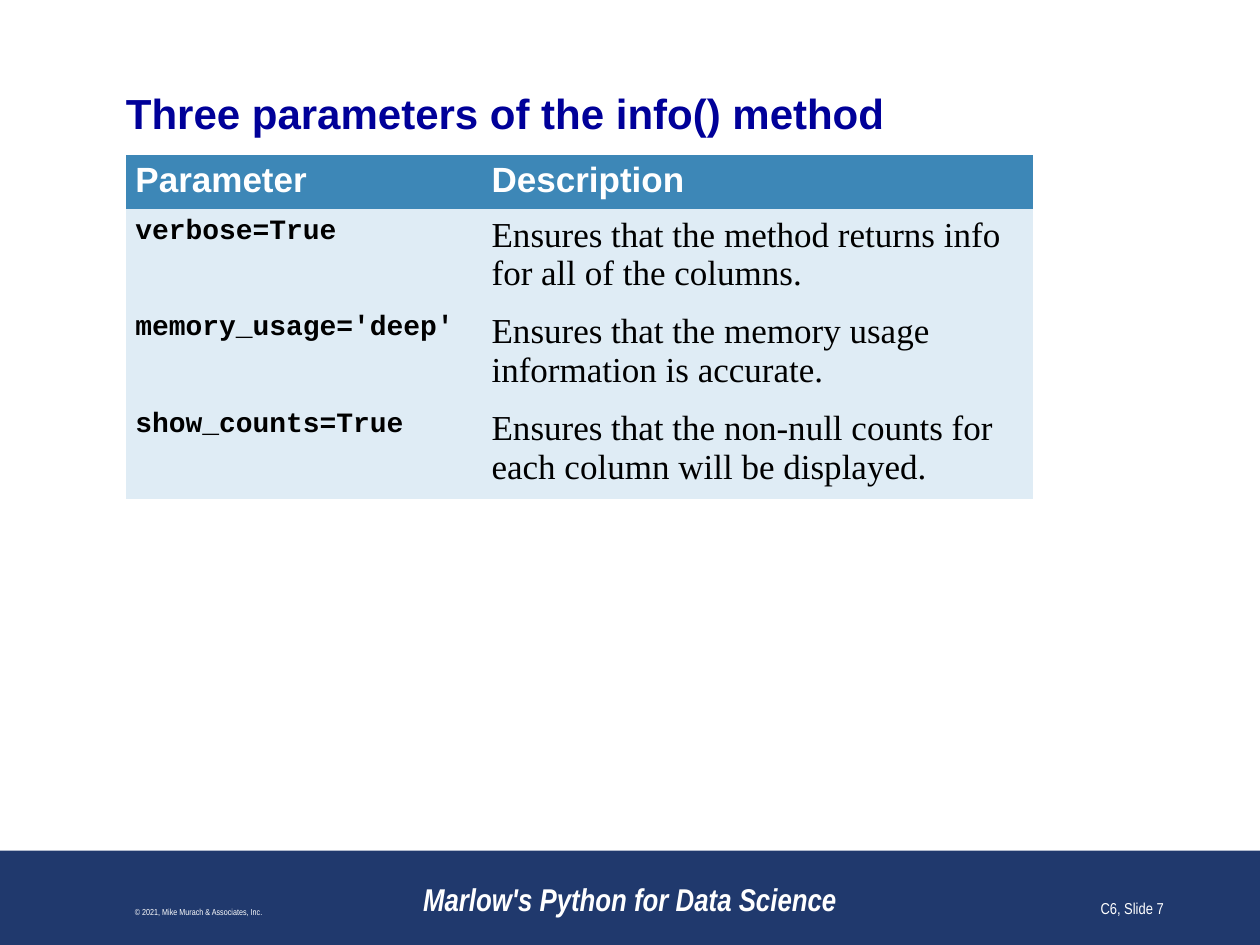
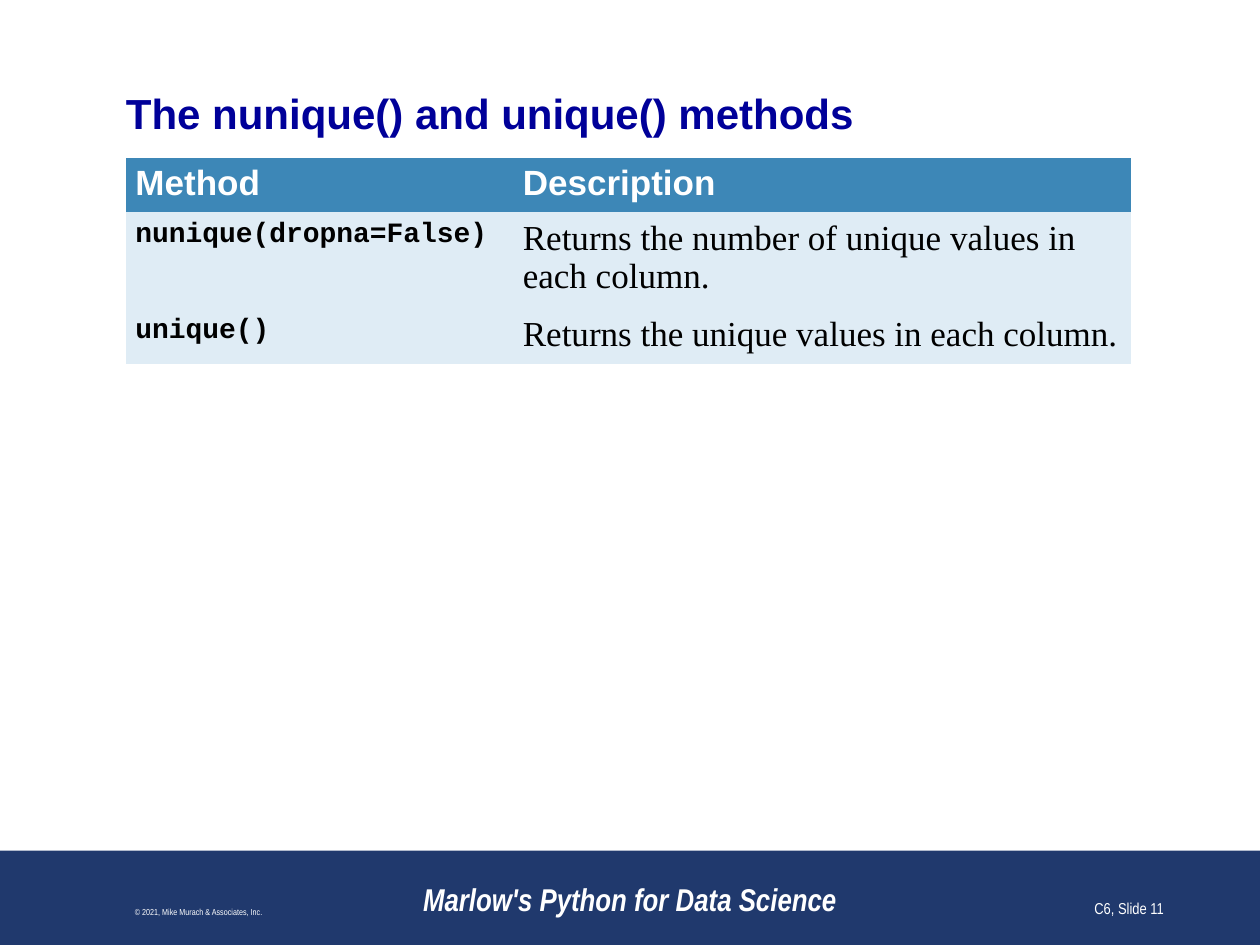
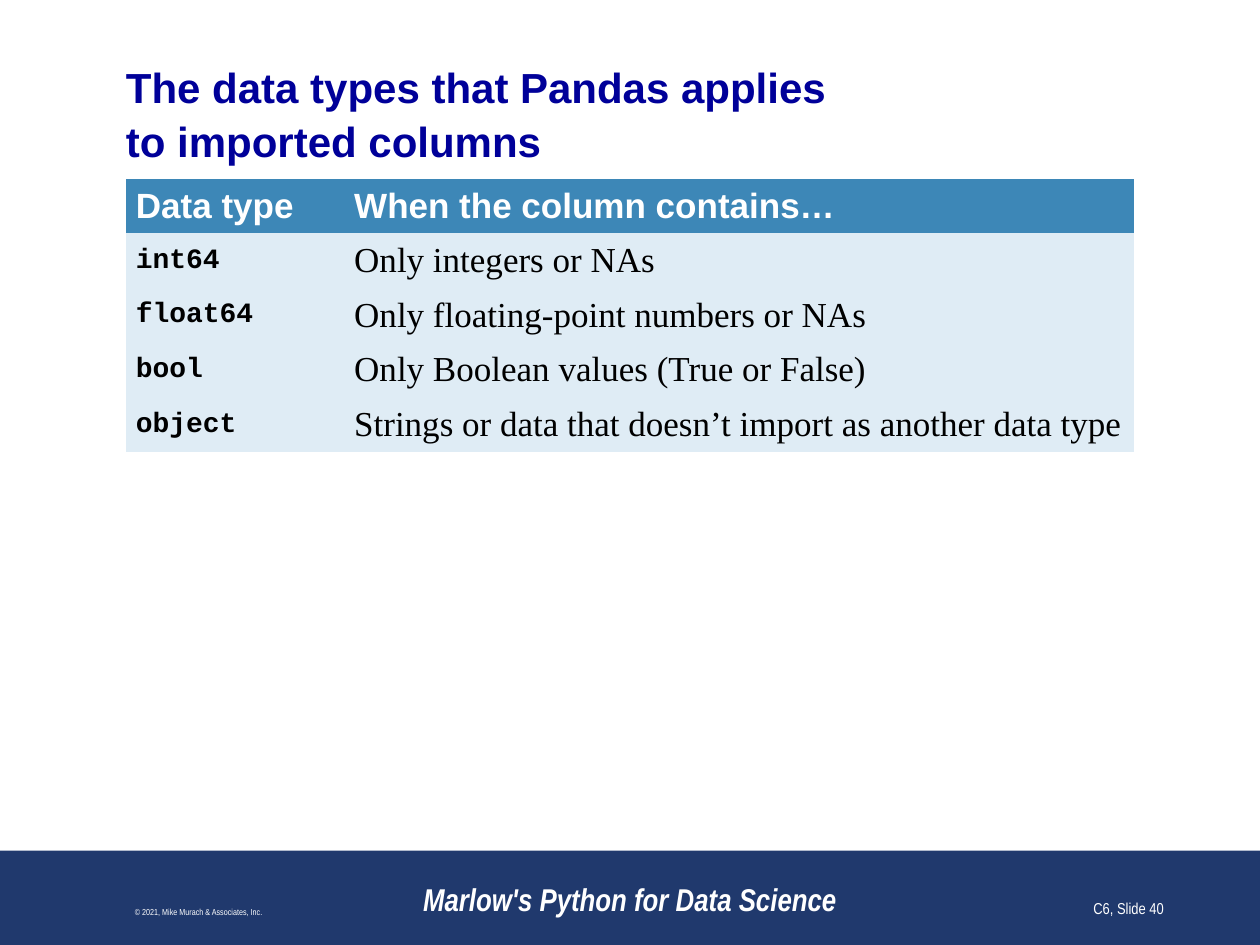
from dataclasses import dataclass

import pptx
import pptx.dml.color
import pptx.enum.shapes
import pptx.enum.text
import pptx.presentation
import pptx.shapes.base
import pptx.slide
import pptx.table
import pptx.text.text
import pptx.util
from pptx.util import Cm

ALIGN = pptx.enum.text.PP_ALIGN
ANCHOR = pptx.enum.text.MSO_ANCHOR
NO_GRID_STYLE = "{2D5ABB26-0587-4C30-8999-92F81FD0307C}"


# Theme
@dataclass(frozen=True)
class Theme:
    title: str = "000099"
    band: str = "20396D"
    header: str = "3D87B7"
    body: str = "DFECF5"
    black: str = "000000"
    white: str = "FFFFFF"
    heading_font: str = "Arial"
    footer_font: str = "Arial Narrow"
    code_font: str = "Courier New"
    body_font: str = "Times New Roman"
    title_size: int = 24
    table_size: int = 20
    code_size: int = 16
    book_size: int = 18
    page_size: int = 9
    copyright_size: int = 5


THEME = Theme()


# Content descriptions, lengths in centimetres
@dataclass(frozen=True)
class Box:
    left: float
    top: float
    width: float
    height: float

    def lengths(self) -> tuple[Cm, Cm, Cm, Cm]:
        return Cm(self.left), Cm(self.top), Cm(self.width), Cm(self.height)


@dataclass(frozen=True)
class ReferenceTable:
    top: float
    column_widths: tuple[float, float]
    row_heights: tuple[float, ...]
    rows: tuple[tuple[str, str], ...]
    side_margin: float = 0.19
    anchor: ANCHOR = ANCHOR.TOP


@dataclass(frozen=True)
class ReferenceSlide:
    number: int
    title: str
    title_box: Box
    table: ReferenceTable


@dataclass(frozen=True)
class FooterItem:
    text: str
    box: Box
    size: int
    align: ALIGN = ALIGN.CENTER
    emphasis: bool = False


LEFT = 2.54
BAND = Box(0, 17.15, 25.4, 1.9)
ONE_LINE_TITLE = Box(LEFT, 1.73, 20.32, 1.02)
TWO_LINE_TITLE = Box(LEFT, 1.22, 20.32, 2.06)
SINGLE_ROW, DOUBLE_ROW, MIDDLE_ROW = 1.03, 1.82, 1.08

SLIDES = (
    ReferenceSlide(
        7, "Three parameters of the info() method", ONE_LINE_TITLE,
        ReferenceTable(
            3.12, (7.18, 11.11), (SINGLE_ROW, *[DOUBLE_ROW] * 3),
            (("Parameter", "Description"),
             ("verbose=True", "Ensures that the method returns info for all of the columns."),
             ("memory_usage='deep'", "Ensures that the memory usage information is accurate."),
             ("show_counts=True",
              "Ensures that the non-null counts for each column will be displayed.")))),
    ReferenceSlide(
        11, "The nunique() and unique() methods", ONE_LINE_TITLE,
        ReferenceTable(
            3.18, (7.81, 12.44), (SINGLE_ROW, DOUBLE_ROW, SINGLE_ROW),
            (("Method", "Description"),
             ("nunique(dropna=False)", "Returns the number of unique values in each column."),
             ("unique()", "Returns the unique values in each column.")))),
    ReferenceSlide(
        40, "The data types that Pandas applies\vto imported columns", TWO_LINE_TITLE,
        ReferenceTable(
            3.6, (4.4, 15.92), (MIDDLE_ROW,) * 5,
            (("Data type", "When the column contains…"),
             ("int64", "Only integers or NAs"),
             ("float64", "Only floating-point numbers or NAs"),
             ("bool", "Only Boolean values (True or False)"),
             ("object", "Strings or data that doesn’t import as another data type")),
            side_margin=0.2, anchor=ANCHOR.MIDDLE)),
)


# Drawing helpers
def color(value: str) -> pptx.dml.color.RGBColor:
    return pptx.dml.color.RGBColor.from_string(value)


def write_text(frame: pptx.text.text.TextFrame, text: str, *, font: str, size: int,
               fill: str, bold: bool = False, italic: bool = False,
               align: ALIGN = ALIGN.LEFT, line_spacing: float = 1.0) -> None:
    frame.word_wrap = True
    paragraph = frame.paragraphs[0]
    paragraph.text = text
    paragraph.alignment = align
    paragraph.line_spacing = line_spacing
    for run in paragraph.runs:
        run.font.name = font
        run.font.size = pptx.util.Pt(size)
        run.font.bold = bold
        run.font.italic = italic
        run.font.color.rgb = color(fill)


def add_band(slide: pptx.slide.Slide) -> None:
    shape = slide.shapes.add_shape(
        pptx.enum.shapes.MSO_SHAPE.RECTANGLE, *BAND.lengths())
    shape.shadow.inherit = False
    shape.fill.solid()
    shape.fill.fore_color.rgb = color(THEME.band)
    shape.line.fill.background()


def add_title(slide: pptx.slide.Slide, title: str, box: Box) -> None:
    frame = slide.shapes.add_textbox(*box.lengths()).text_frame
    frame.margin_left = frame.margin_right = frame.margin_top = frame.margin_bottom = 0
    frame.vertical_anchor = ANCHOR.MIDDLE
    write_text(frame, title, font=THEME.heading_font, size=THEME.title_size,
               fill=THEME.title, bold=True, line_spacing=1.07)


def add_reference_table(slide: pptx.slide.Slide, content: ReferenceTable) -> None:
    box = Box(LEFT, content.top, sum(content.column_widths), sum(content.row_heights))
    table = slide.shapes.add_table(
        len(content.rows), len(content.column_widths), *box.lengths()).table
    table._tbl.tblPr[0].text = NO_GRID_STYLE
    table.horz_banding = False
    for column, width in zip(table.columns, content.column_widths):
        column.width = Cm(width)

    heading = dict(font=THEME.heading_font, size=THEME.table_size,
                   fill=THEME.white, bold=True)
    code = dict(font=THEME.code_font, size=THEME.code_size, fill=THEME.black, bold=True)
    description = dict(font=THEME.body_font, size=THEME.table_size, fill=THEME.black)

    for row_index, texts in enumerate(content.rows):
        table.rows[row_index].height = Cm(content.row_heights[row_index])
        formats = (code, description) if row_index else (heading, heading)
        for column_index, text in enumerate(texts):
            cell = table.cell(row_index, column_index)
            cell.fill.solid()
            cell.fill.fore_color.rgb = color(THEME.body if row_index else THEME.header)
            cell.margin_left = cell.margin_right = Cm(content.side_margin)
            cell.vertical_anchor = content.anchor
            write_text(cell.text_frame, text, **formats[column_index])


def add_footer(slide: pptx.slide.Slide, number: int) -> None:
    top, height = 17.35, 1.27
    items = (
        FooterItem("Marlow's Python for Data Science", Box(7.62, top, 10.16, height),
                   THEME.book_size, emphasis=True),
        FooterItem("© 2021, Mike Murach & Associates, Inc.", Box(0.2, top, 7.62, height),
                   THEME.copyright_size),
        FooterItem(f"C6, Slide {number}", Box(18.42, top, 5.29, height),
                   THEME.page_size, align=ALIGN.RIGHT),
    )
    for item in items:
        frame = slide.shapes.add_textbox(*item.box.lengths()).text_frame
        frame.vertical_anchor = ANCHOR.BOTTOM
        write_text(frame, item.text, font=THEME.footer_font, size=item.size,
                   fill=THEME.white, bold=item.emphasis, italic=item.emphasis,
                   align=item.align)


def add_reference_slide(presentation: pptx.presentation.Presentation,
                        content: ReferenceSlide) -> None:
    slide = presentation.slides.add_slide(presentation.slide_layouts[6])
    add_band(slide)
    add_title(slide, content.title, content.title_box)
    add_reference_table(slide, content.table)
    add_footer(slide, content.number)


def main() -> None:
    presentation = pptx.Presentation()
    presentation.slide_width = Cm(25.4)
    presentation.slide_height = Cm(19.05)
    for content in SLIDES:
        add_reference_slide(presentation, content)
    presentation.save("out.pptx")


if __name__ == "__main__":
    main()
